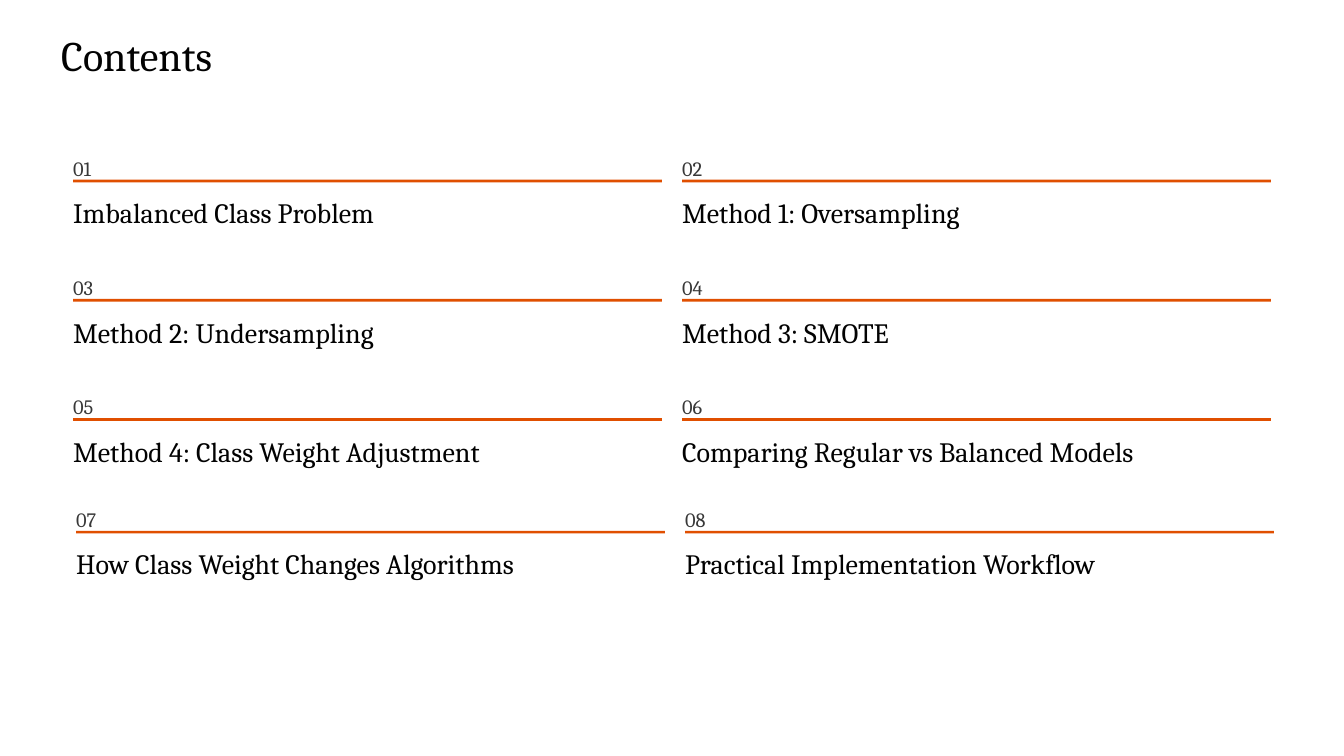
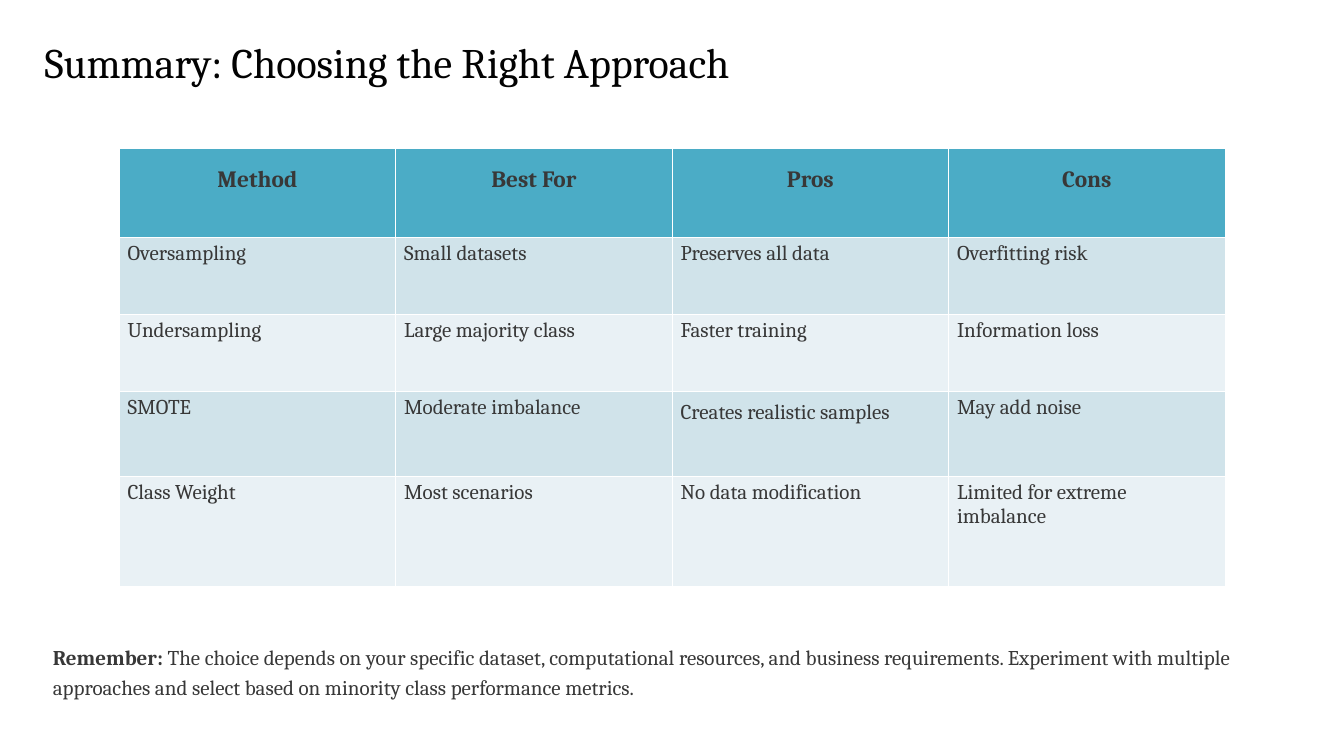
from pptx import Presentation
from pptx.dml.color import RGBColor
from pptx.enum import shapes, text
from pptx.util import Pt

FONT = "Cambria"
INK = RGBColor(0x02, 0x02, 0x02)
GREY = RGBColor(0x38, 0x38, 0x38)
ORANGE = RGBColor(0xE0, 0x4F, 0x00)
TEAL = RGBColor(0x4B, 0xAC, 0xC6)
BANDS = [RGBColor(0xD0, 0xE3, 0xEA), RGBColor(0xE9, 0xF1, 0xF5)]


def style(para, size, color, bold=False):
    for span in para.runs:
        span.font.name = FONT
        span.font.size = Pt(size)
        span.font.color.rgb = color
        span.font.bold = bold


def add_page(deck, heading, left, top):
    page = deck.slides.add_slide(deck.slide_layouts[5])
    title = page.shapes.title
    title.left, title.top, title.width, title.height = Pt(left), Pt(top), Pt(1075), Pt(88)
    frame = title.text_frame
    frame.text = heading
    frame.auto_size = text.MSO_AUTO_SIZE.NONE
    frame.vertical_anchor = text.MSO_ANCHOR.TOP
    frame.margin_left = frame.margin_top = frame.margin_right = frame.margin_bottom = 0
    frame.paragraphs[0].alignment = text.PP_ALIGN.LEFT
    style(frame.paragraphs[0], 36, INK)
    return page


deck = Presentation()
deck.slide_width, deck.slide_height = Pt(1152), Pt(648)

contents = add_page(deck, "Contents", 52.5, 25.2)
topics = [
    "Imbalanced Class Problem",
    "Method 1: Oversampling",
    "Method 2: Undersampling",
    "Method 3: SMOTE",
    "Method 4: Class Weight Adjustment",
    "Comparing Regular vs Balanced Models",
    "How Class Weight Changes Algorithms",
    "Practical Implementation Workflow",
]
row_places = [(62.6, 126), (62.6, 228.2), (62.6, 330.5), (65.2, 427)]
for index, topic in enumerate(topics):
    row, column = divmod(index, 2)
    left, top = row_places[row]
    left += column * 522
    rule = contents.shapes.add_shape(
        shapes.MSO_SHAPE.RECTANGLE, Pt(left), Pt(top + 28), Pt(504.7), Pt(2.3))
    rule.shadow.inherit = False
    rule.fill.solid()
    rule.fill.fore_color.rgb = ORANGE
    rule.line.fill.background()
    labels = [
        (f"{index + 1:02}", top, 18, 22.3, 17.5, GREY, Pt(28.5)),
        (topic, top + 41.8, 480, 29.5, 24, INK, None),
    ]
    for label, label_top, width, height, size, color, spacing in labels:
        box = contents.shapes.add_textbox(Pt(left), Pt(label_top), Pt(width), Pt(height))
        frame = box.text_frame
        frame.margin_left = frame.margin_top = frame.margin_right = frame.margin_bottom = 0
        frame.word_wrap = False
        frame.text = label
        para = frame.paragraphs[0]
        para.line_spacing = spacing
        style(para, size, color)

summary = add_page(deck, "Summary: Choosing the Right Approach", 38.2, 31.5)
rows = [
    ["Method", "Best For", "Pros", "Cons"],
    ["Oversampling", "Small datasets", "Preserves all data", "Overfitting risk"],
    ["Undersampling", "Large majority class", "Faster training", "Information loss"],
    ["SMOTE", "Moderate imbalance", "Creates realistic samples", "May add noise"],
    ["Class Weight", "Most scenarios", "No data modification", "Limited for extreme imbalance"],
]
row_heights = [75.6, 66.2, 66.2, 72.7, 94.3]
table = summary.shapes.add_table(
    len(rows), 4, Pt(102.2), Pt(127.6), Pt(948), Pt(sum(row_heights))).table
for row, (values, height) in enumerate(zip(rows, row_heights)):
    table.rows[row].height = Pt(height)
    for column, value in enumerate(values):
        cell = table.cell(row, column)
        cell.text = value
        cell.fill.solid()
        para = cell.text_frame.paragraphs[0]
        if row == 0:
            cell.fill.fore_color.rgb = TEAL
            para.alignment = text.PP_ALIGN.CENTER
            para.line_spacing = 1.5
            style(para, 20, GREY, bold=True)
        else:
            cell.fill.fore_color.rgb = BANDS[(row - 1) % 2]
            style(para, 18, GREY)
table.cell(3, 2).text_frame.paragraphs[0].line_spacing = Pt(25)

reminder = summary.shapes.add_textbox(Pt(38.2), Pt(545.8), Pt(1088), Pt(56.2))
reminder.text_frame.word_wrap = True
para = reminder.text_frame.paragraphs[0]
para.line_spacing = Pt(25)
for part in [
    "Remember:",
    " The choice depends on your specific dataset, computational resources, and business "
    "requirements. Experiment with multiple approaches and select based on minority class "
    "performance metrics.",
]:
    para.add_run().text = part
style(para, 18, GREY)
para.runs[0].font.bold = True

deck.save("out.pptx")
